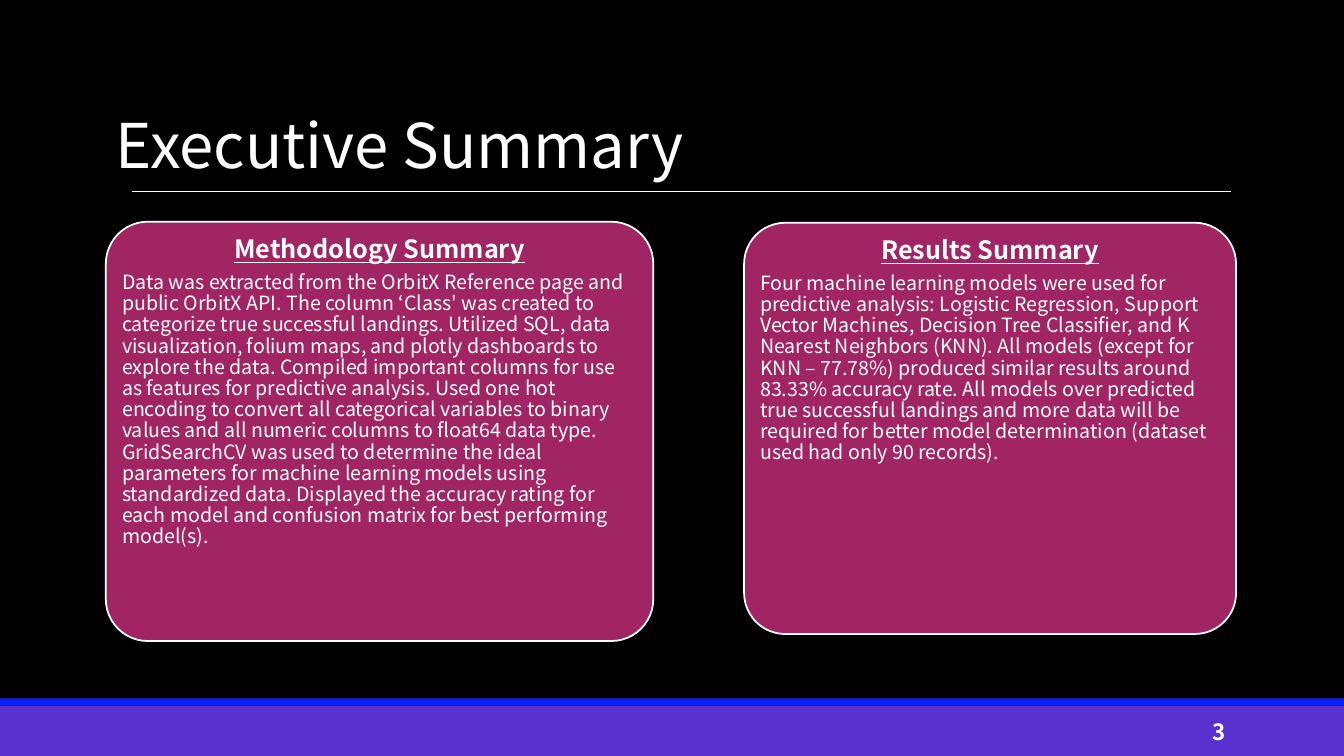
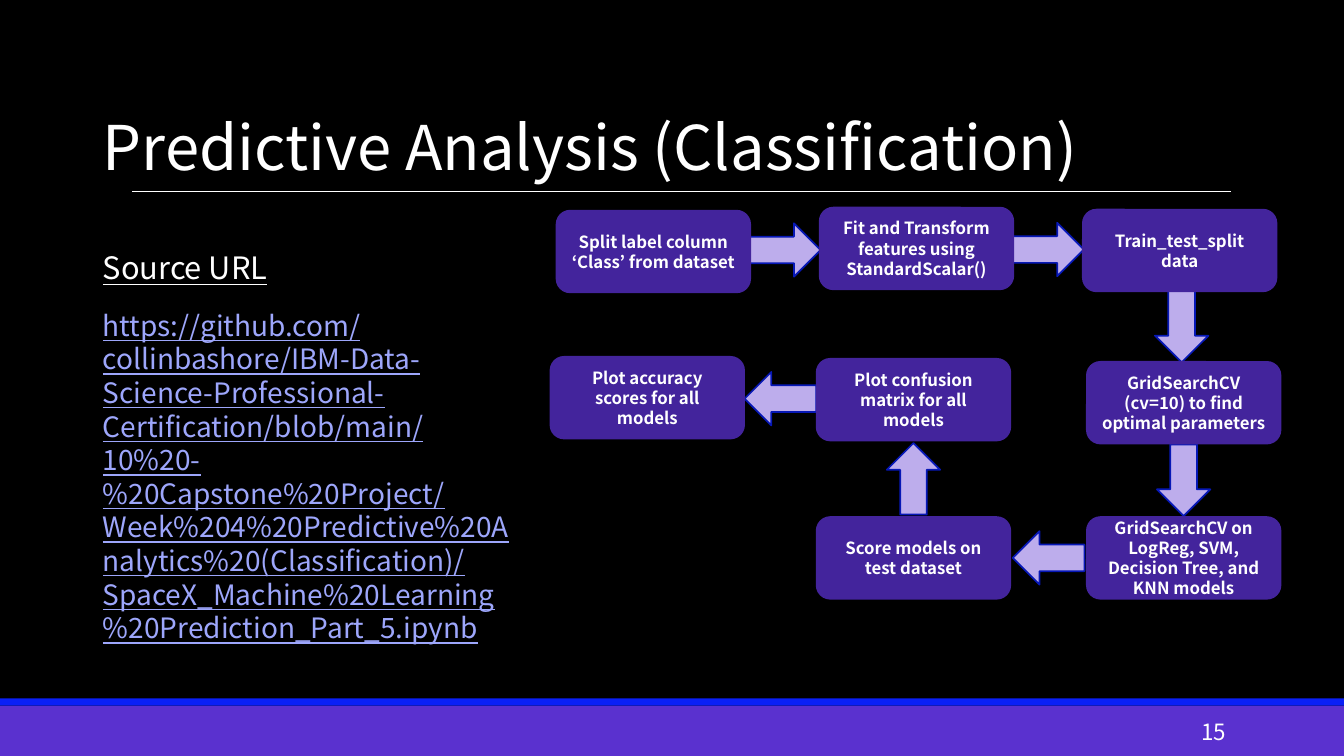
from dataclasses import dataclass
from itertools import pairwise
from math import atan2, degrees

from lxml import etree
from pptx import Presentation
from pptx.dml.color import RGBColor
from pptx.enum import shapes, text
from pptx.oxml import ns
from pptx.util import Inches, Pt

SHAPE = shapes.MSO_SHAPE
ALIGN = text.PP_ALIGN
ANCHOR = text.MSO_ANCHOR


@dataclass(frozen=True)
class Theme:
    font: str = "Noto Sans CJK JP"
    back: str = "000000"
    ink: str = "FFFFFF"
    band: str = "5A31CF"
    strip: str = "0A20F6"
    panel: str = "A12563"
    step: str = "43249C"
    arrow: str = "BDADEC"
    edge: str = "0718B6"
    link: str = "9DA6FB"
    title: int = 44
    label: int = 22
    url: int = 20
    head: int = 18
    page: int = 16
    body: int = 14
    note: int = 12
    thin: float = 0.5
    line: float = 1.25


THEME = Theme()


def paint(fill, color):
    fill.solid()
    fill.fore_color.rgb = RGBColor.from_string(color)


def write(frame, words, size, color=THEME.ink, bold=False, under=False,
          align=ALIGN.LEFT, lead=None, before=0, after=0, left=0, more=False):
    para = frame.add_paragraph() if more else frame.paragraphs[0]
    para.text = words
    para.alignment = align
    para.line_spacing = lead
    para.space_before, para.space_after = Pt(before), Pt(after)
    if left:
        props = para._p.get_or_add_pPr()
        props.set("marL", str(Inches(left)))
        props.set("indent", "0")
    font = para.font
    font.name, font.size = THEME.font, Pt(size)
    font.bold, font.underline = bold, under
    font.color.rgb = RGBColor.from_string(color)


def fit(frame, anchor, side=0.1, top=0.05):
    frame.word_wrap = True
    frame.auto_size = text.MSO_AUTO_SIZE.NONE
    frame.vertical_anchor = anchor
    frame.margin_left = frame.margin_right = Inches(side)
    frame.margin_top = frame.margin_bottom = Inches(top)
    return frame


class Deck:
    def __init__(self, theme):
        self.theme = theme
        self.show = Presentation()
        self.show.slide_width = Inches(13.33)
        self.show.slide_height = Inches(7.5)
        paint(self.show.slide_master.background.fill, theme.back)
        self.slide = None

    def page(self, title, left, top, number, bold=False):
        look = self.theme
        self.slide = self.show.slides.add_slide(self.show.slide_layouts[5])
        self.shape(SHAPE.RECTANGLE, 0, 7, 13.33, 0.5, look.band)
        self.shape(SHAPE.RECTANGLE, 0, 6.93, 13.33, 0.07, look.strip)
        self.rule(1.31, 12.21, 1.9)
        head = self.slide.shapes.title
        head.left, head.top = Inches(left), Inches(top)
        head.width, head.height = Inches(11.5), Inches(0.6)
        write(fit(head.text_frame, ANCHOR.MIDDLE), title, look.title, lead=0.9)
        write(self.box(10.83, 7.06, 1.43, 0.4, ANCHOR.MIDDLE), number,
              look.page, bold=bold, align=ALIGN.RIGHT)

    def shape(self, kind, left, top, width, height, fill, edge=None):
        item = self.slide.shapes.add_shape(
            kind, Inches(left), Inches(top), Inches(width), Inches(height))
        item.shadow.inherit = False
        paint(item.fill, fill)
        if edge:
            paint(item.line.fill, edge)
            item.line.width = Pt(self.theme.line)
        else:
            item.line.fill.background()
        return item

    def rule(self, start, end, top):
        line = self.slide.shapes.add_connector(
            shapes.MSO_CONNECTOR.STRAIGHT,
            Inches(start), Inches(top), Inches(end), Inches(top))
        paint(line.line.fill, self.theme.ink)
        line.line.width = Pt(self.theme.thin)
        etree.SubElement(line._element.spPr, ns.qn("a:effectLst"))

    def box(self, left, top, width, height, anchor=ANCHOR.TOP, side=0.1):
        item = self.slide.shapes.add_textbox(
            Inches(left), Inches(top), Inches(width), Inches(height))
        return fit(item.text_frame, anchor, side)

    def panel(self, left, top, width, height, head, body):
        look = self.theme
        item = self.shape(SHAPE.ROUNDED_RECTANGLE, left, top, width, height,
                          look.panel, look.ink)
        item.adjustments[0] = 0.1
        frame = fit(item.text_frame, ANCHOR.TOP, 0.04, 0.03)
        write(frame, head, look.head, bold=True, under=True,
              align=ALIGN.CENTER, lead=0.9, after=6)
        write(frame, body, look.body, lead=0.9, more=True)

    def arrow(self, start, end):
        wide, high = 0.53, 0.71
        (x1, y1), (x2, y2) = start, end
        item = self.shape(SHAPE.DOWN_ARROW, (x1 + x2 - wide) / 2,
                          (y1 + y2 - high) / 2, wide, high,
                          self.theme.arrow, self.theme.edge)
        turn = degrees(atan2(y2 - y1, x2 - x1))
        item.rotation = (round(turn / 90) * 90 - 90) % 360

    def flow(self, steps):
        look = self.theme
        wide, high = 1.92, 0.81
        mids = [(left + wide / 2, top + high / 2) for left, top, _ in steps]
        for start, end in pairwise(mids):
            self.arrow(start, end)
        for left, top, words in steps:
            item = self.shape(SHAPE.ROUNDED_RECTANGLE, left, top, wide, high,
                              look.step, look.step)
            write(fit(item.text_frame, ANCHOR.MIDDLE), words, look.note,
                  bold=True, align=ALIGN.CENTER)


METHOD = (
    "Data was extracted from the OrbitX Reference page and public OrbitX API. "
    "The column ‘Class' was created to categorize true successful landings. "
    "Utilized SQL, data visualization, folium maps, and plotly dashboards to "
    "explore the data. Compiled important columns for use as features for "
    "predictive analysis. Used one hot encoding to convert all categorical "
    "variables to binary values and all numeric columns to float64 data type. "
    "GridSearchCV was used to determine the ideal parameters for machine "
    "learning models using standardized data. Displayed the accuracy rating "
    "for each model and confusion matrix for best performing model(s).")

RESULT = (
    "Four machine learning models were used for predictive analysis: Logistic "
    "Regression, Support Vector Machines, Decision Tree Classifier, and K "
    "Nearest Neighbors (KNN). All models (except for KNN – 77.78%) produced "
    "similar results around 83.33% accuracy rate. All models over predicted "
    "true successful landings and more data will be required for better model "
    "determination (dataset used had only 90 records).")

URL = (
    "https://github.com/collinbashore/IBM-Data-Science-Professional-"
    "Certification/blob/main/10%20-%20Capstone%20Project/"
    "Week%204%20Predictive%20Analytics%20(Classification)/"
    "SpaceX_Machine%20Learning%20Prediction_Part_5.ipynb")

STEPS = [
    (5.52, 2.09, "Split label column ‘Class’ from dataset"),
    (8.13, 2.06, "Fit and Transform features using StandardScalar()"),
    (10.74, 2.08, "Train_test_split data"),
    (10.78, 3.59, "GridSearchCV (cv=10) to find optimal parameters"),
    (10.78, 5.13, "GridSearchCV on LogReg, SVM, Decision Tree, and KNN models"),
    (8.1, 5.13, "Score models on test dataset"),
    (8.1, 3.56, "Plot confusion matrix for all models"),
    (5.46, 3.54, "Plot accuracy scores for all models"),
]


def main():
    deck = Deck(THEME)

    deck.page("Executive Summary", 1.05, 1.17, "3", bold=True)
    deck.panel(1.05, 2.2, 5.43, 4.16, "Methodology Summary", METHOD)
    deck.panel(7.38, 2.21, 4.88, 4.08, "Results Summary", RESULT)

    deck.page("Predictive Analysis (Classification)", 0.92, 1.19, "15")
    frame = deck.box(0.92, 2.42, 4.17, 3.81, side=0)
    write(frame, "Source URL", THEME.label, under=True, after=2, left=0.1)
    write(frame, URL, THEME.url, THEME.link, under=True, before=14, after=2,
          left=0.1, more=True)
    deck.flow(STEPS)

    deck.show.save("out.pptx")


if __name__ == "__main__":
    main()
